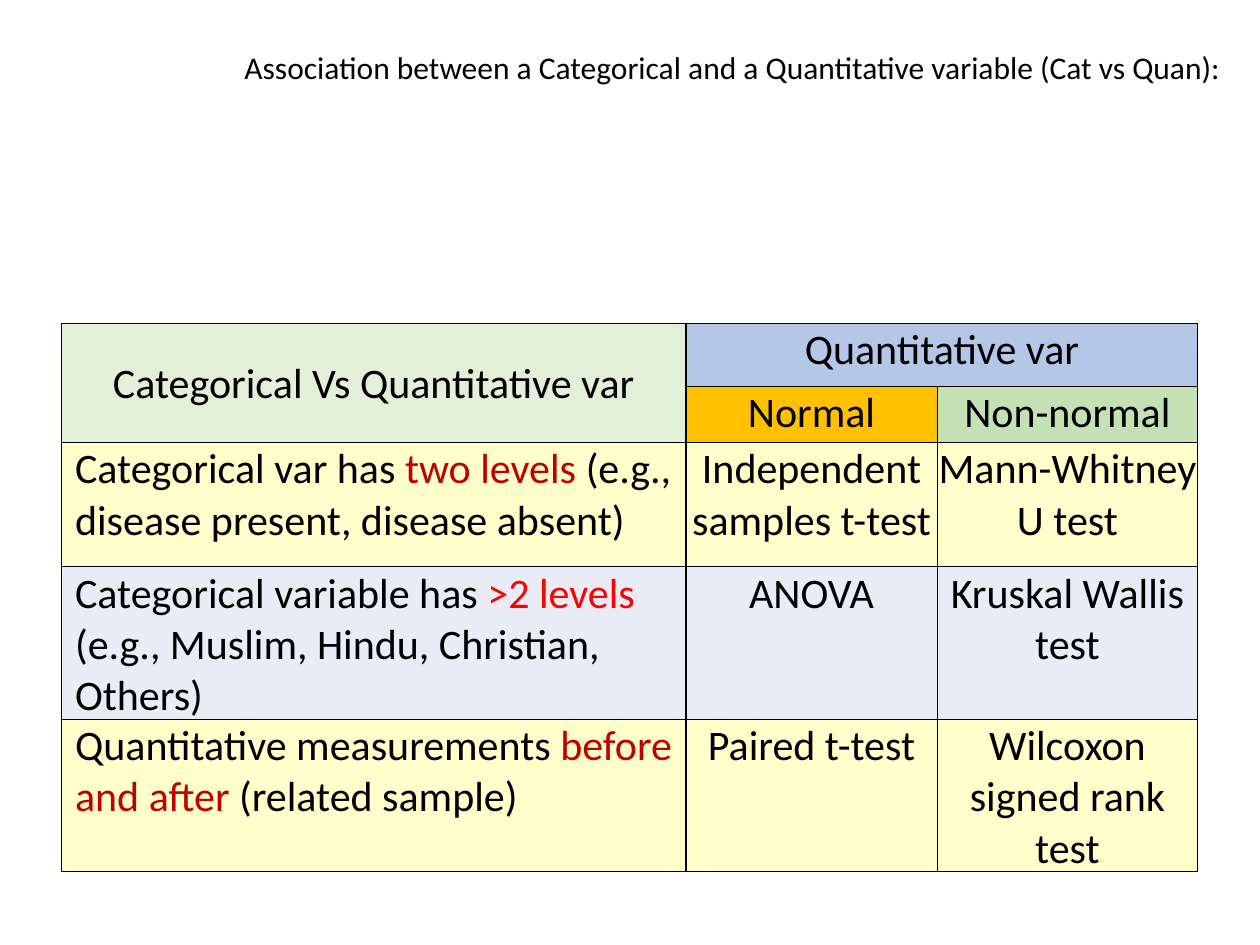
import pptx
import pptx.dml.color
import pptx.enum.text
import pptx.oxml.ns
import pptx.util
from lxml import etree

Pt = pptx.util.Pt
PP_ALIGN = pptx.enum.text.PP_ALIGN
MSO_ANCHOR = pptx.enum.text.MSO_ANCHOR

COLORS = {
    "black": "000000",
    "dark red": "C00000",
    "red": "FF0000",
    "heading": "E2F0D9",
    "quantitative": "B4C7E7",
    "normal": "FFC000",
    "non-normal": "C5E0B4",
    "yellow": "FFFFCC",
    "grey": "E9EBF5",
}
COLUMN_WIDTHS = [357, 143.5, 149]
ROW_HEIGHTS = [36, 32, 71, 71, 70.5]

# Each row: fill, case as (text, colour) runs, normal test, non-normal test.
TESTS = [
    ("yellow",
     [("Categorical var has ", "black"), ("two levels ", "dark red"),
      ("(e.g., disease present, disease absent)", "black")],
     "Independent samples t-test", "Mann-Whitney U test"),
    ("grey",
     [("Categorical variable has ", "black"), (">2 levels ", "red"),
      ("(e.g., Muslim, Hindu, Christian, Others)", "black")],
     "ANOVA", "Kruskal Wallis test"),
    ("yellow",
     [("Quantitative measurements ", "black"), ("before and after ", "dark red"),
      ("(related sample)", "black")],
     "Paired t-test", "Wilcoxon signed rank test"),
]


def rgb(color):
    return pptx.dml.color.RGBColor.from_string(COLORS[color])


class SlideBuilder:
    font_name = "Calibri"
    title_size = 18
    table_size = 24
    border_width = 0.75
    cell_margin = 0.72
    case_indent = 7.2

    def __init__(self, slide):
        self.slide = slide

    def style(self, paragraph, size, align):
        paragraph.alignment = align
        paragraph.font.name = self.font_name
        paragraph.font.size = Pt(size)

    def title(self, text, left, top, width, height):
        title = self.slide.shapes.title
        title.left, title.top = Pt(left), Pt(top)
        title.width, title.height = Pt(width), Pt(height)
        frame = title.text_frame
        frame.text = text
        frame.word_wrap = True
        frame.auto_size = pptx.enum.text.MSO_AUTO_SIZE.SHAPE_TO_FIT_TEXT
        frame.vertical_anchor = MSO_ANCHOR.TOP
        paragraph = frame.paragraphs[0]
        paragraph.space_after = Pt(12)
        self.style(paragraph, self.title_size, PP_ALIGN.LEFT)
        paragraph.font.color.rgb = rgb("black")

    def table(self, left, top, widths, heights):
        table = self.slide.shapes.add_table(
            len(heights), len(widths), Pt(left), Pt(top),
            Pt(sum(widths)), Pt(sum(heights))).table
        for column, width in zip(table.columns, widths):
            column.width = Pt(width)
        for row, height in zip(table.rows, heights):
            row.height = Pt(height)
        for cell in table.iter_cells():
            self.borders(cell)
        return table

    def borders(self, cell):
        properties = cell._tc.get_or_add_tcPr()
        qn = pptx.oxml.ns.qn
        for side in ("a:lnL", "a:lnR", "a:lnT", "a:lnB"):
            line = etree.SubElement(properties, qn(side), w=str(Pt(self.border_width)))
            fill = etree.SubElement(line, qn("a:solidFill"))
            etree.SubElement(fill, qn("a:srgbClr"), val=COLORS["black"])

    def cell(self, cell, runs, fill, align=PP_ALIGN.CENTER, anchor=MSO_ANCHOR.TOP):
        cell.fill.solid()
        cell.fill.fore_color.rgb = rgb(fill)
        cell.margin_left = cell.margin_right = cell.margin_top = Pt(self.cell_margin)
        cell.margin_bottom = 0
        cell.vertical_anchor = anchor
        paragraph = cell.text_frame.paragraphs[0]
        self.style(paragraph, self.table_size, align)
        paragraph.font.bold = False
        for text, color in runs:
            run = paragraph.add_run()
            run.text = text
            run.font.color.rgb = rgb(color)
        return paragraph

    def label(self, cell, text, fill, anchor=MSO_ANCHOR.TOP):
        self.cell(cell, [(text, "black")], fill, anchor=anchor)

    def case(self, cell, runs, fill):
        paragraph = self.cell(cell, runs, fill, PP_ALIGN.LEFT)
        properties = paragraph._p.get_or_add_pPr()
        properties.set("marL", str(Pt(self.case_indent)))
        properties.set("indent", "0")
        return paragraph


def main():
    presentation = pptx.Presentation()
    presentation.slide_width, presentation.slide_height = Pt(720), Pt(540)
    builder = SlideBuilder(presentation.slides.add_slide(presentation.slide_layouts[5]))

    builder.title("Association between a Categorical and a Quantitative variable (Cat vs Quan):",
                  132.5, 24, 576, 29)

    table = builder.table(35, 185, COLUMN_WIDTHS, ROW_HEIGHTS)
    table.cell(0, 0).merge(table.cell(1, 0))
    table.cell(0, 1).merge(table.cell(0, 2))
    builder.label(table.cell(0, 0), "Categorical Vs Quantitative var", "heading",
                  MSO_ANCHOR.MIDDLE)
    builder.label(table.cell(0, 1), "Quantitative var", "quantitative")
    builder.label(table.cell(1, 1), "Normal", "normal")
    builder.label(table.cell(1, 2), "Non-normal", "non-normal")

    for row, (fill, case, normal, non_normal) in enumerate(TESTS, start=2):
        paragraph = builder.case(table.cell(row, 0), case, fill)
        if row == 2:
            paragraph.space_after = Pt(6)
        builder.label(table.cell(row, 1), normal, fill)
        builder.label(table.cell(row, 2), non_normal, fill)

    presentation.save("out.pptx")


if __name__ == "__main__":
    main()
